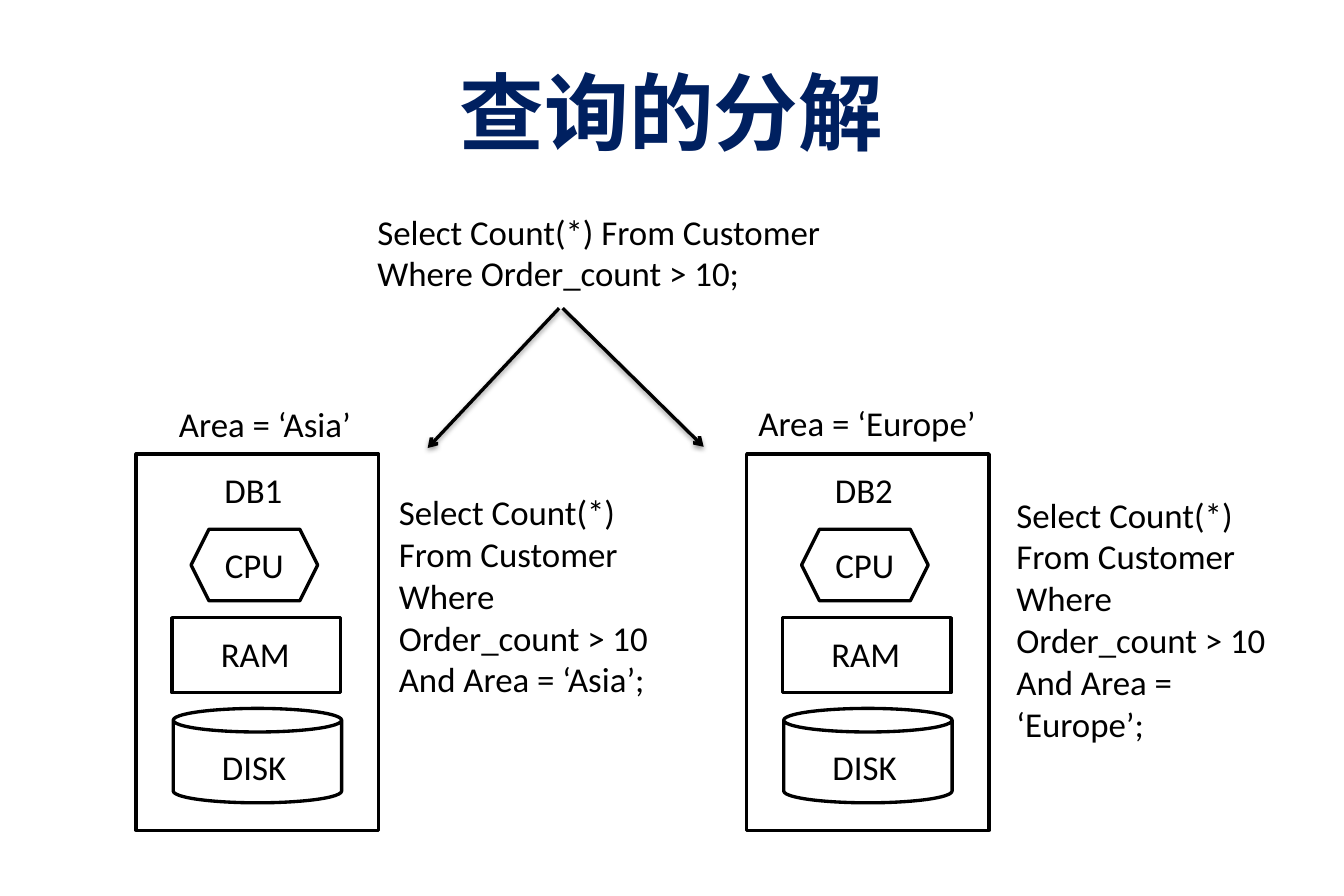
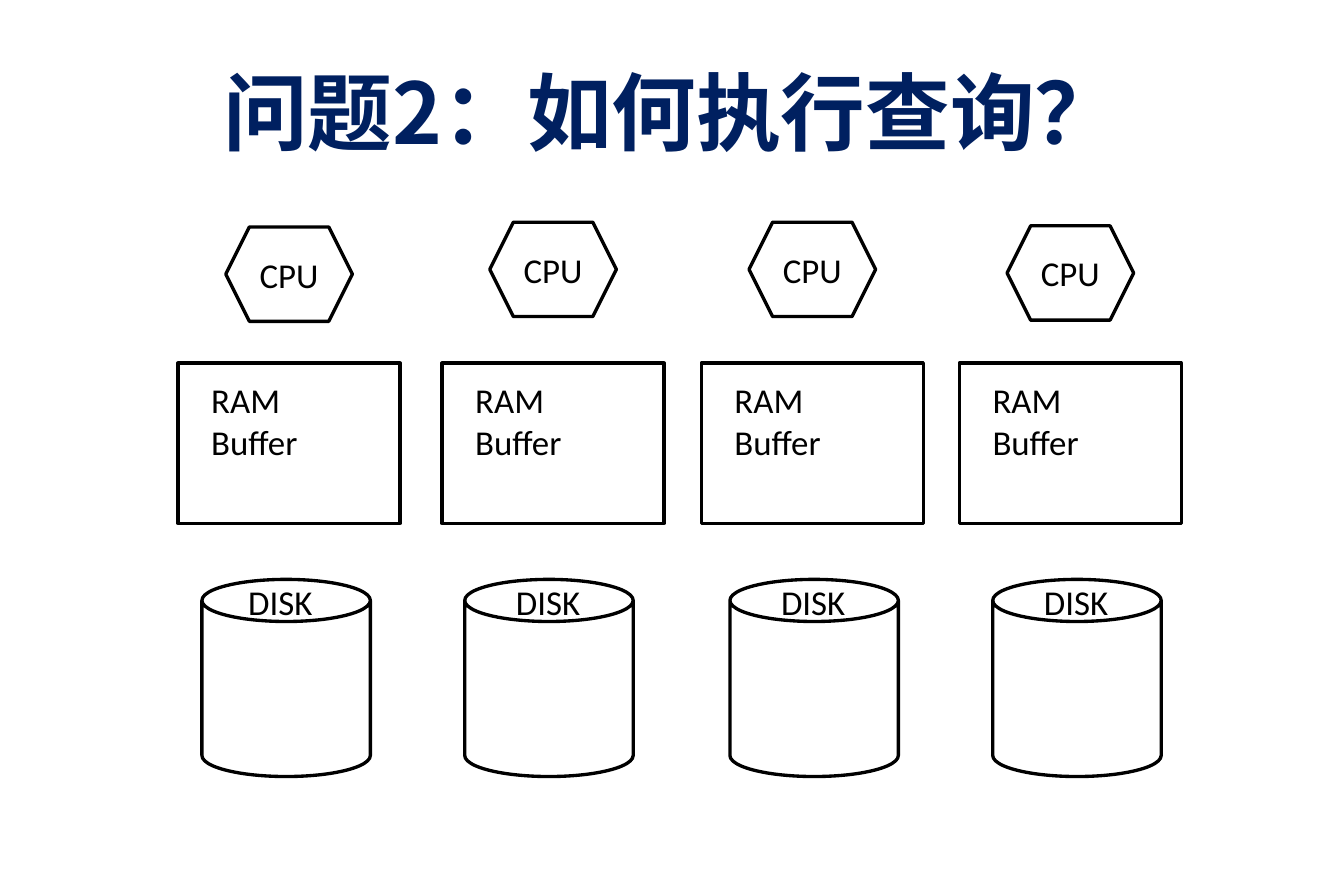
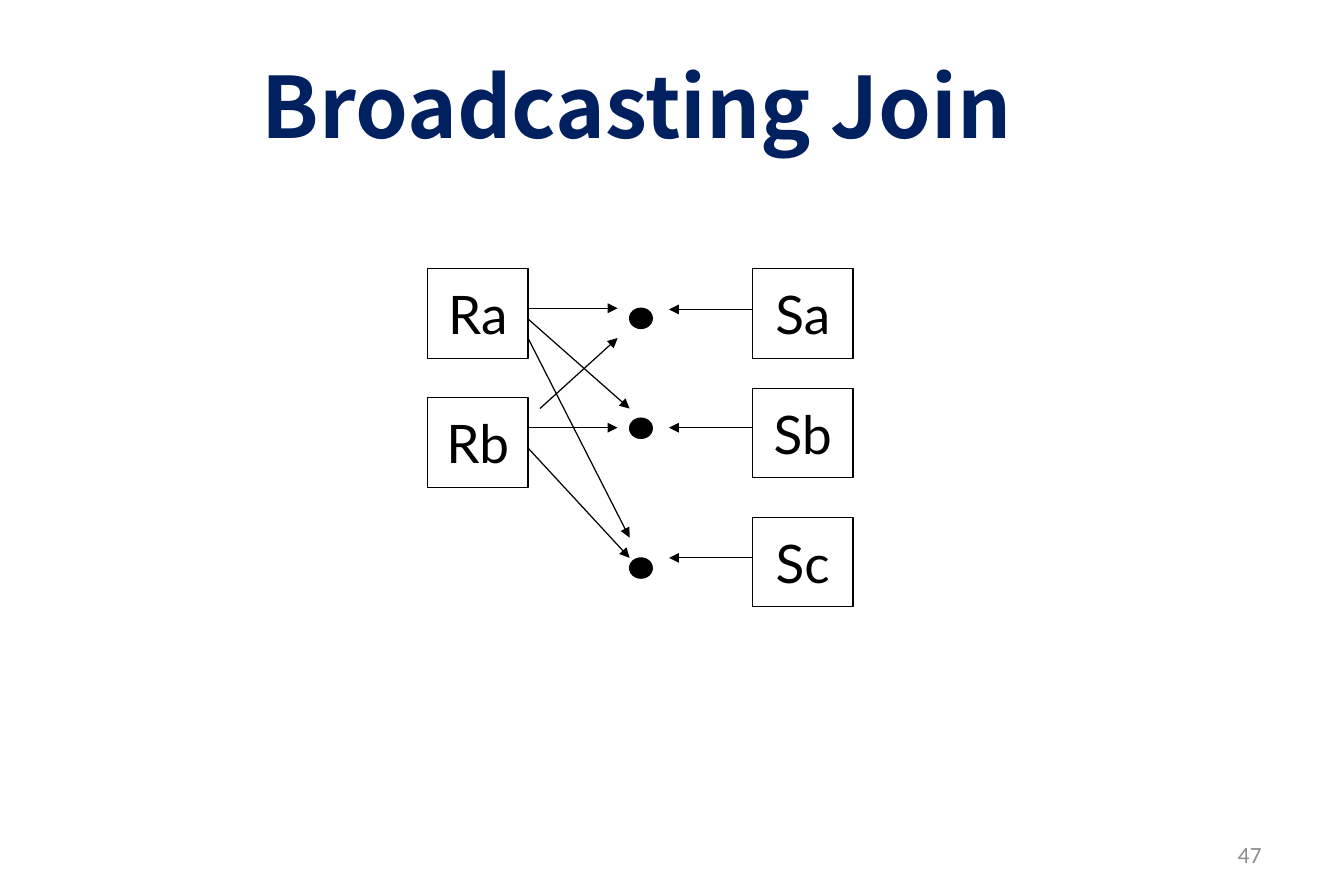
"""Build three slides on distributed query execution."""
import pptx
import pptx.util
import pptx.dml.color
import pptx.enum.shapes
import pptx.enum.text
import pptx.oxml.ns
from lxml import etree

KIND = pptx.enum.shapes.MSO_SHAPE
ALIGN = pptx.enum.text.PP_ALIGN
MID = pptx.enum.text.MSO_ANCHOR.MIDDLE
GROW = pptx.enum.text.MSO_AUTO_SIZE.SHAPE_TO_FIT_TEXT
UNIT = 9144

INK, PAPER, NAVY, GRAY = "000000", "FFFFFF", "002060", "8C8C8C"
HEAD = {"size": 51, "name": "Noto Sans CJK SC", "bold": True, "color": NAVY}
BODY = {"size": 21, "name": "Calibri", "color": INK}
NODE = {"size": 32, "name": "Lato", "color": INK}
PAGE = {"size": 14, "name": "Calibri", "color": GRAY}
WIDE = {"margin_left": 12 * UNIT, "margin_right": 12 * UNIT,
        "margin_top": 6 * UNIT, "margin_bottom": 6 * UNIT,
        "vertical_anchor": MID, "word_wrap": True}
FREE = {"word_wrap": False, "auto_size": GROW}
WRAP = {"word_wrap": True, "auto_size": GROW}

TITLES = [("查询的分解", (56, 30, 1012, 125)),
          ("问题2：如何执行查询？", (56, 30, 1012, 125)),
          ("Broadcasting Join", (55, 25, 956, 125))]

BASES = [("DB1", 114), ("DB2", 625)]
PARTS = [(KIND.RECTANGLE, (0, 380, 203, 315), []),
         (KIND.RECTANGLE, (30, 517, 141, 63), []),
         (KIND.CAN, (31, 593, 141, 79), []),
         (KIND.HEXAGON, (46, 443, 106, 60), ["CPU"])]
LABELS = [("DISK", (62, 619, 74, 45)), ("RAM", (61, 525, 78, 45))]
NOTES = [
    (["Select Count(*) From Customer", "Where Order_count > 10;"],
     (306, 171, 395, 81), FREE),
    (["Area = ‘Asia’"], (140, 332, 166, 45), FREE),
    (["Area = ‘Europe’"], (625, 331, 204, 45), FREE),
    (["Select Count(*) From Customer", "Where Order_count > 10",
      "And Area = ‘Asia’;"], (324, 406, 232, 187), WRAP),
    (["Select Count(*) From Customer", "Where \nOrder_count > 10",
      "And Area = ‘Europe’;"], (841, 408, 263, 187), WRAP)]
SPLITS = [(468, 258, 358, 375), (471, 258, 589, 374)]

COLUMNS = [{"ram": 149, "cpu": 190, "can": 169, "disk": 198},
           {"ram": 370, "cpu": 186, "can": 389, "disk": 422},
           {"ram": 587, "cpu": 186, "can": 611, "disk": 644},
           {"ram": 803, "cpu": 189, "can": 831, "disk": 864}]

NODES = [("Ra", 358, 225), ("Rb", 358, 333),
         ("Sa", 630, 225), ("Sb", 630, 325), ("Sc", 630, 433)]
DOTS = [258, 350, 467]
LINKS = [(442, 258, 517, 258), (442, 358, 517, 358), (442, 375, 527, 467),
         (442, 267, 527, 342), (442, 283, 527, 450), (452, 342, 517, 283)]
LINKS += [(630, y, 560, y) for y in (259, 358, 467)]


def tint(code):
    return pptx.dml.color.RGBColor.from_string(code)


def emu(box):
    return [n * UNIT for n in box]


def tag(host, name, **attrs):
    return etree.SubElement(host, pptx.oxml.ns.qn(name), attrs)


def write(frame, lines, style, form, align=ALIGN.LEFT):
    for key, val in form.items():
        setattr(frame, key, val)
    for i, line in enumerate(lines):
        para = frame.add_paragraph() if i else frame.paragraphs[0]
        para.text = line
        para.alignment = align
        for run in para.runs:
            look = {**style, "size": pptx.util.Pt(style["size"])}
            run.font.color.rgb = tint(look.pop("color"))
            for key, val in look.items():
                setattr(run.font, key, val)
            tag(run.font._element, "a:ea", typeface=style["name"])


def label(host, lines, box, form=FREE, style=BODY, align=ALIGN.LEFT):
    text = host.add_textbox(*emu(box))
    write(text.text_frame, lines, style, form, align)


def draw(host, kind, box, lines=(), width=2, fill=PAPER, style=BODY, wrap=True):
    form = host.add_shape(kind, *emu(box))
    form.shadow.inherit = False
    form.fill.solid()
    form.fill.fore_color.rgb = tint(fill)
    form.line.color.rgb = tint(INK)
    form.line.width = pptx.util.Pt(width)
    write(form.text_frame, lines, style,
          {"vertical_anchor": MID, "word_wrap": wrap}, ALIGN.CENTER)


def arrow(host, ends, width, tip, shade=False):
    line = host.add_connector(pptx.enum.shapes.MSO_CONNECTOR.STRAIGHT, *emu(ends))
    line.line.color.rgb = tint(INK)
    line.line.width = pptx.util.Pt(width)
    tag(line.line._get_or_add_ln(), "a:tailEnd", type=tip)
    glow = tag(line._element.spPr, "a:effectLst")
    if shade:
        cast = tag(glow, "a:outerShdw", blurRad="39370", dist="20320",
                   dir="5400000", rotWithShape="0")
        tag(tag(cast, "a:srgbClr", val=INK), "a:alpha", val="38000")


def start(deck, title, box):
    slide = deck.slides.add_slide(deck.slide_layouts[5])
    head = slide.shapes.title
    head.left, head.top, head.width, head.height = emu(box)
    write(head.text_frame, [title], HEAD, WIDE, ALIGN.CENTER)
    return slide.shapes


def split(host):
    for name, left in BASES:
        group = host.add_group_shape().shapes
        for kind, (x, *rest), lines in PARTS:
            draw(group, kind, (left + x, *rest), lines)
        for text, (x, *rest) in LABELS + [(name, (64, 387, 69, 45))]:
            label(group, [text], (left + x, *rest))
    for lines, box, form in NOTES:
        label(host, lines, box, form)
    for ends in SPLITS:
        arrow(host, ends, 2, "arrow", True)


def run_plan(host):
    for col in COLUMNS:
        ram = col["ram"]
        draw(host, KIND.RECTANGLE, (ram, 304, 186, 134))
        draw(host, KIND.CAN, (col["can"], 485, 141, 165))
        draw(host, KIND.HEXAGON, (ram + 40, col["cpu"], 106, 79), ["CPU"])
        label(host, ["RAM\nBuffer"], (ram + 18, 312, 107, 81), WRAP)
        label(host, ["DISK"], (col["disk"], 481, 74, 45))


def join(host):
    label(host, ["47"], (806, 695, 262, 40), WIDE, PAGE, ALIGN.RIGHT)
    for name, x, y in NODES:
        draw(host, KIND.RECTANGLE, (x, y, 84, 75), [name], 0.75,
             style=NODE, wrap=False)
    for y in DOTS:
        draw(host, KIND.OVAL, (527, y, 19, 17), width=0.75, fill=INK)
    for ends in LINKS:
        arrow(host, ends, 0.75, "triangle")


def main():
    deck = pptx.Presentation()
    deck.slide_width, deck.slide_height = emu((1125, 750))
    for (title, box), fill in zip(TITLES, (split, run_plan, join)):
        fill(start(deck, title, box))
    deck.save("out.pptx")


if __name__ == "__main__":
    main()
